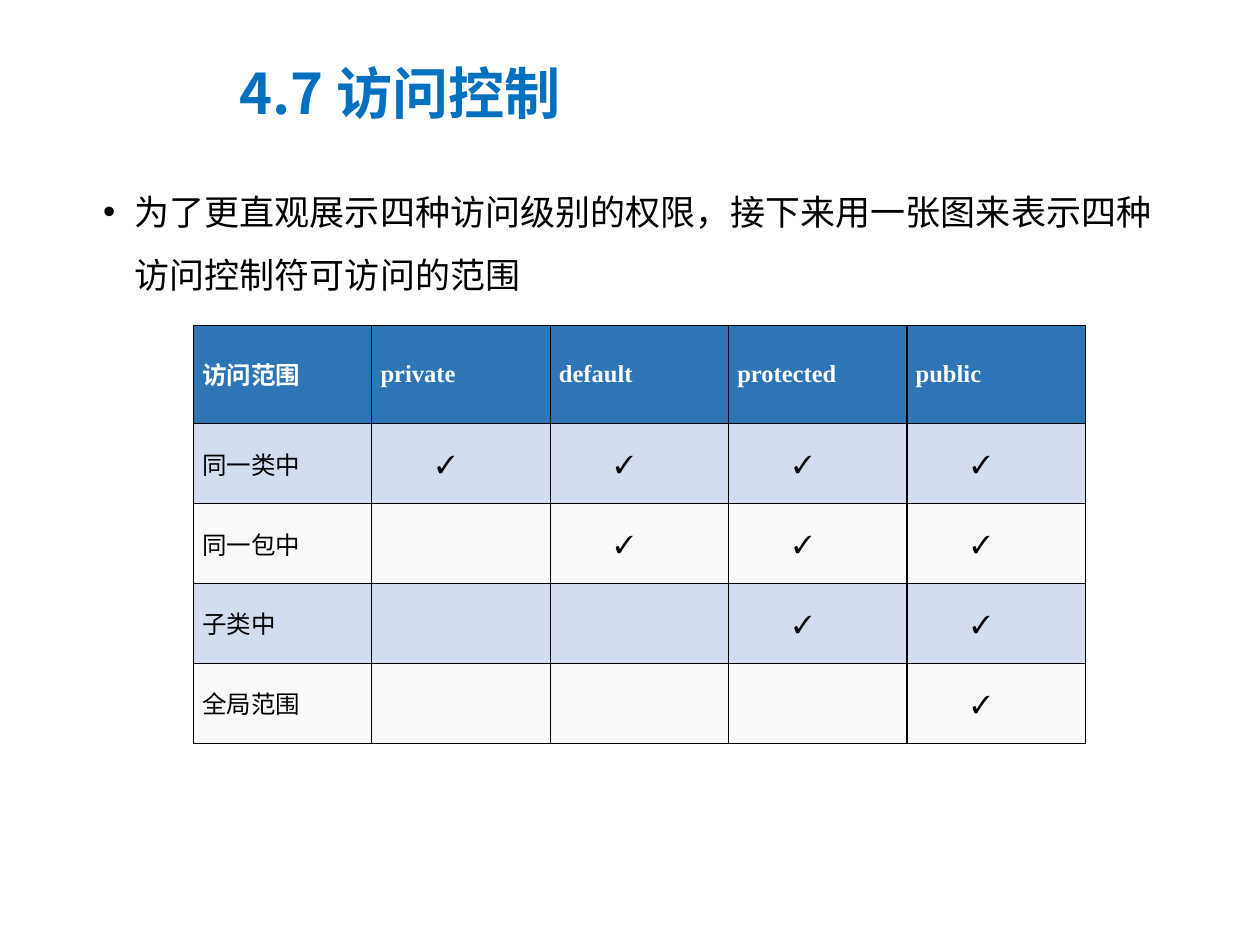
from pptx import Presentation
from pptx import util as u
from pptx.dml.color import RGBColor
from pptx.enum import text
from pptx.oxml import parse_xml
from pptx.oxml.ns import nsdecls, qn
from lxml import etree

THEME = {
    "title": "0070C0", "ink": "000000", "head": "2E75B6", "on_head": "FFFFFF",
    "bands": ("D2DEEF", "FAFAFA"),
    "title_size": 32, "body_size": 20, "cell_size": 14,
    "title_font": "Noto Sans CJK SC", "body_font": "Calibri", "cell_font": "Times New Roman",
}

deck = Presentation()
deck.slide_width, deck.slide_height = u.Inches(10), u.Inches(7.5)
slide = deck.slides.add_slide(deck.slide_layouts[6])


def across(share):
    return int(deck.slide_width * share)


def write(frame, words, size, font, color, asian=None, bold=False, align=text.PP_ALIGN.LEFT):
    paragraph = frame.paragraphs[0]
    paragraph.alignment = align
    run = paragraph.add_run()
    run.text = words
    run.font.size, run.font.bold, run.font.name = u.Pt(size), bold, font
    run.font.color.rgb = RGBColor.from_string(color)
    etree.SubElement(run.font._element, qn("a:ea")).set("typeface", asian or font)
    return paragraph


intro = slide.shapes.add_textbox(across(0.022), across(0.13), across(0.928), across(0.553)).text_frame
intro.word_wrap = True
intro_line = write(
    intro, "为了更直观展示四种访问级别的权限，接下来用一张图来表示四种访问控制符可访问的范围",
    size=THEME["body_size"], font=THEME["body_font"], color=THEME["ink"])
intro_line.line_spacing = 1.5
intro_format = intro_line._p.get_or_add_pPr()
intro_format.set("marL", str(u.Inches(0.75)))
intro_format.set("indent", str(u.Inches(-0.25)))
intro_format.append(parse_xml(f'<a:buFont {nsdecls("a")} typeface="Arial"/>'))
intro_format.append(parse_xml(f'<a:buChar {nsdecls("a")} char="•"/>'))

levels = ["private", "default", "protected", "public"]
scopes = ["同一类中", "同一包中", "子类中", "全局范围"]
rows = [["访问范围", *levels]] + [[scope] + [""] * len(levels) for scope in scopes]

left, top = across(0.1535), across(0.258)
column, head_row, scope_row = across(0.1416), across(0.078), across(0.0635)
access = slide.shapes.add_table(
    len(rows), len(rows[0]), left, top,
    column * len(rows[0]), head_row + scope_row * len(scopes)).table
for access_column in access.columns:
    access_column.width = column

for r, row in enumerate(rows):
    access.rows[r].height = scope_row if r else head_row
    for c, word in enumerate(row):
        cell = access.cell(r, c)
        cell.vertical_anchor = text.MSO_ANCHOR.MIDDLE
        cell.margin_left = cell.margin_right = u.Inches(0.07)
        for side in ("lnL", "lnR", "lnT", "lnB"):
            border = etree.SubElement(cell._tc.get_or_add_tcPr(), qn(f"a:{side}"), w=str(u.Pt(0.75)))
            paint = etree.SubElement(border, qn("a:solidFill"))
            etree.SubElement(paint, qn("a:srgbClr"), val=THEME["ink"])
        cell.fill.solid()
        cell.fill.fore_color.rgb = RGBColor.from_string(THEME["bands"][(r - 1) % 2] if r else THEME["head"])
        if word:
            write(cell.text_frame, word, size=THEME["cell_size"], font=THEME["cell_font"],
                  asian=THEME["title_font"], bold=r == 0, color=THEME["ink" if r else "on_head"])

for r in range(len(scopes)):
    for c in range(r, len(levels)):
        mark = slide.shapes.add_textbox(
            left + column * (c + 1) - across(0.012), top + head_row + scope_row * r,
            column, scope_row).text_frame
        mark.word_wrap = True
        mark.vertical_anchor = text.MSO_ANCHOR.MIDDLE
        write(mark, "✓", size=THEME["cell_size"], font=THEME["cell_font"],
              color=THEME["ink"], align=text.PP_ALIGN.CENTER)

heading = slide.shapes.add_textbox(across(0.18), across(0.043), across(0.541), across(0.061)).text_frame
heading.word_wrap = True
heading.vertical_anchor = text.MSO_ANCHOR.MIDDLE
heading_line = write(heading, "4.7 访问控制", size=THEME["title_size"], font=THEME["title_font"],
                     color=THEME["title"], bold=True)

deck.save("out.pptx")
